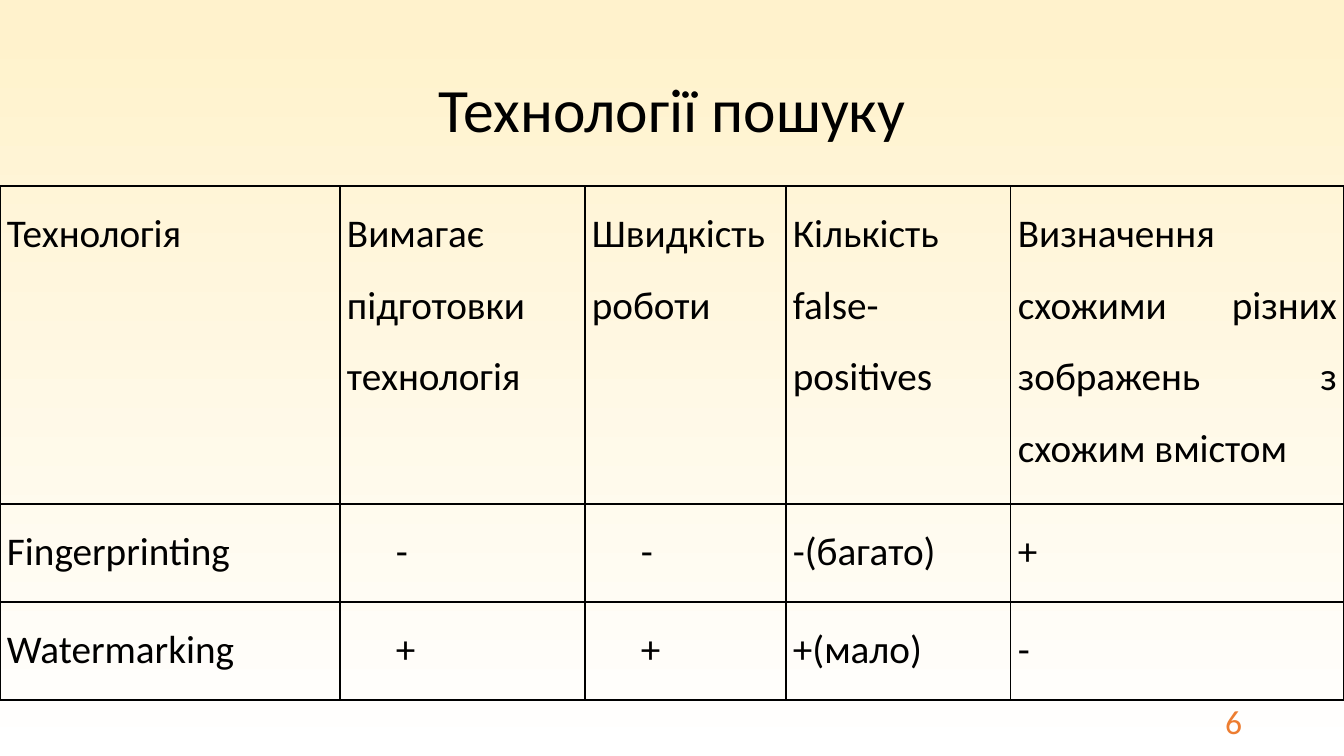
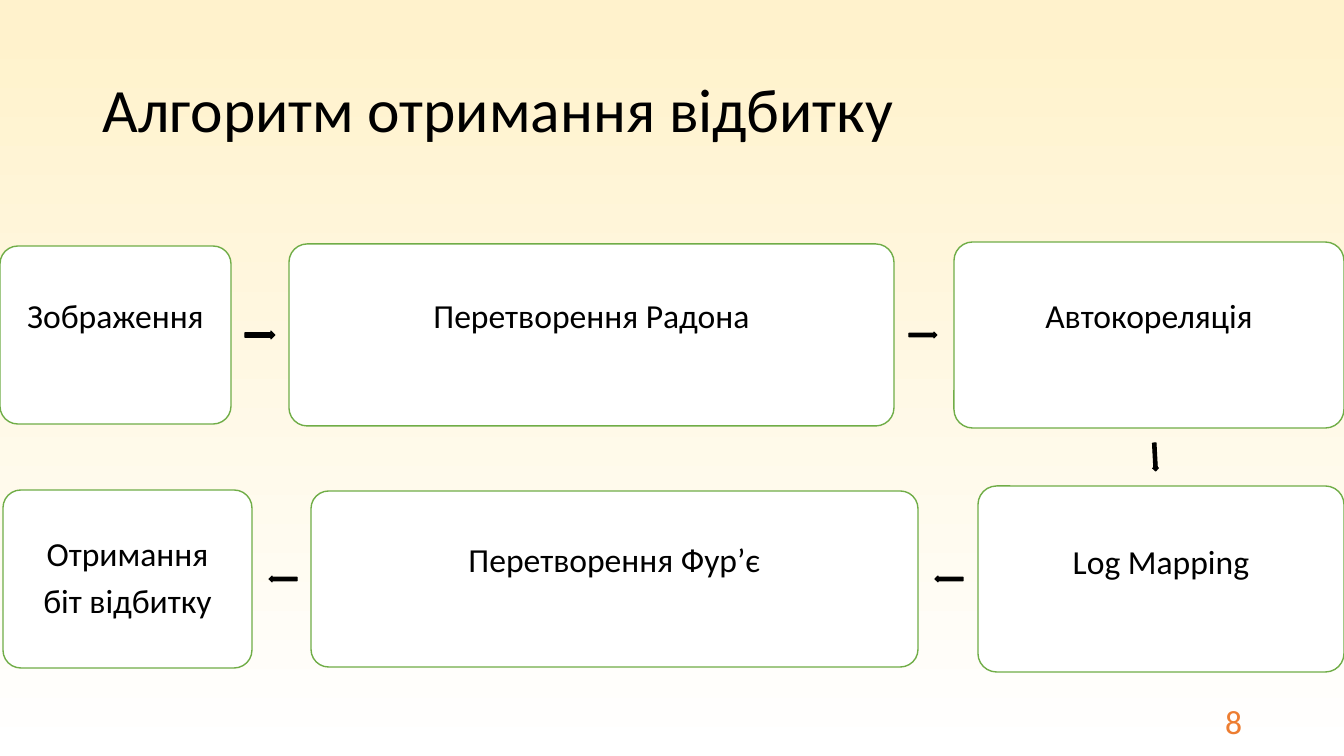
from pptx import Presentation
from pptx.dml.color import RGBColor
from pptx.enum.shapes import MSO_SHAPE
from pptx.enum.text import MSO_ANCHOR, PP_ALIGN
from pptx.oxml import parse_xml
from pptx.oxml.ns import nsdecls
from pptx.util import Emu, Pt

SLIDE_W, SLIDE_H = 1344, 756
SCALE = 12192000 / SLIDE_W
LEFT, CENTER, RIGHT = PP_ALIGN.LEFT, PP_ALIGN.CENTER, PP_ALIGN.RIGHT
JUSTIFY = PP_ALIGN.JUSTIFY
MIDDLE = MSO_ANCHOR.MIDDLE
ROUND_RECT, RIGHT_ARROW = MSO_SHAPE.ROUNDED_RECTANGLE, MSO_SHAPE.RIGHT_ARROW


def px(n):
    return Emu(round(n * SCALE))


def rgb(color):
    return RGBColor.from_string(color)


class Deck:
    FONT = "Calibri"
    INK, PAPER, CREAM = "000000", "FFFFFF", "FFF2CC"
    GREEN, ORANGE = "70AD47", "ED7D31"

    def __init__(self):
        self.prs = Presentation()
        self.prs.slide_width, self.prs.slide_height = px(SLIDE_W), px(SLIDE_H)
        fill = self.prs.slide_master.background.fill
        fill.gradient()
        fill.gradient_angle = 270
        stops = ((0.04, self.CREAM), (1, self.PAPER))
        for stop, (position, color) in zip(fill.gradient_stops, stops):
            stop.position = position
            stop.color.rgb = rgb(color)

    def slide(self, title, number, title_align=LEFT):
        self.s = self.prs.slides.add_slide(self.prs.slide_layouts[6])
        self.text(93, 40, 1159, 146, title, 44, self.INK, title_align, 0.9)
        self.text(950, 701, 302, 40, str(number), 24, self.ORANGE, RIGHT)

    def fill_text(self, tf, text, size, color, align, spacing=1, gap=0):
        """Fill a text frame; gap is the space in points between paragraphs."""
        tf.text = text
        tf.word_wrap = True
        for i, p in enumerate(tf.paragraphs):
            p.alignment = align
            p.line_spacing = spacing
            p.space_before = Pt(gap if i else 0)
            for r in p.runs:
                r.font.name = self.FONT
                r.font.size = Pt(size)
                r.font.color.rgb = rgb(color)

    def text(self, x, y, w, h, text, size, color, align, spacing=1):
        tf = self.s.shapes.add_textbox(px(x), px(y), px(w), px(h)).text_frame
        tf.vertical_anchor = MIDDLE
        self.fill_text(tf, text, size, color, align, spacing)

    def shape(self, kind, x, y, w, h, fill, line, line_width):
        sp = self.s.shapes.add_shape(kind, px(x), px(y), px(w), px(h))
        sp.shadow.inherit = False
        sp.fill.solid()
        sp.fill.fore_color.rgb = rgb(fill)
        sp.line.color.rgb = rgb(line)
        sp.line.width = Pt(line_width)
        return sp

    def step(self, x, cy, w, h, text, lift=0):
        """Box centred on cy, with its text raised by lift."""
        sp = self.shape(ROUND_RECT, x, cy - h / 2, w, h, self.PAPER, self.GREEN, 1)
        sp.adjustments[0] = 0.1
        tf = sp.text_frame
        tf.vertical_anchor = MIDDLE
        tf.margin_left = tf.margin_right = tf.margin_top = px(15)
        tf.margin_bottom = px(15 + 2 * lift)
        self.fill_text(tf, text, 24, self.INK, CENTER, 0.9, gap=8)

    def arrow(self, cx, cy, rotation=0, w=28, h=6):
        sp = self.shape(RIGHT_ARROW, cx - w / 2, cy - h / 2, w, h,
                        self.INK, self.INK, 0.75)
        sp.adjustments[0], sp.adjustments[1] = 0.6, 0.5
        sp.rotation = rotation

    def border(self, cell):
        tcPr = cell._tc.get_or_add_tcPr()
        for side in "LRTB":
            tcPr.append(parse_xml(
                f'<a:ln{side} {nsdecls("a")} w="12700"><a:solidFill>'
                f'<a:srgbClr val="{self.INK}"/></a:solidFill></a:ln{side}>'))

    def table(self, x, y, widths, heights, rows, justified, indented):
        """justified: header columns; indented: body columns."""
        table = self.s.shapes.add_table(
            len(rows), len(widths), px(x), px(y),
            px(sum(widths)), px(sum(heights))).table
        table.first_row = table.horz_banding = False
        for column, width in zip(table.columns, widths):
            column.width = px(width)
        for i, (height, values) in enumerate(zip(heights, rows)):
            table.rows[i].height = px(height)
            for j, value in enumerate(values):
                cell = table.cell(i, j)
                self.border(cell)
                cell.fill.background()
                cell.margin_left = cell.margin_right = px(7)
                cell.margin_top = cell.margin_bottom = 0
                align = JUSTIFY if i == 0 and j in justified else LEFT
                self.fill_text(cell.text_frame, value, 28, self.INK, align, 1.5)
                if i and j in indented:
                    pPr = cell.text_frame.paragraphs[0]._p.get_or_add_pPr()
                    pPr.set("marL", str(px(49)))


def main():
    deck = Deck()

    deck.slide("Технології пошуку", 6, CENTER)
    deck.table(0, 186, (340, 245, 201, 225, 333), (318, 98, 98), (
        ("Технологія", "Вимагає підготовки технологія", "Швидкість роботи",
         "Кількість false-positives",
         "Визначення схожими різних зображень з схожим вмістом"),
        ("Fingerprinting", "-", "-", "-(багато)", "+"),
        ("Watermarking", "+", "+", "+(мало)", "-"),
    ), justified=(3, 4), indented=(1, 2))

    deck.slide("Алгоритм отримання відбитку", 8)
    top, bottom = 335, 579
    for x, cy, w, h, text, lift in (
        (0, top, 231, 178, "Зображення", 17),
        (289, top, 605, 182, "Перетворення Радона", 17),
        (954, top, 390, 186, "Автокореляція", 17),
        (978, bottom, 366, 186, "Log Mapping", 15),
        (311, bottom, 607, 176, "Перетворення Фур’є", 17),
        (3, bottom, 249, 178, "Отримання\nбіт відбитку", 0),
    ):
        deck.step(x, cy, w, h, text, lift)
    deck.arrow(260, top, w=30, h=8)
    deck.arrow(923, top)
    deck.arrow(1155, (top + bottom) / 2, 87)
    deck.arrow(949, bottom, 180)
    deck.arrow(283, bottom, 180)

    deck.prs.save("out.pptx")


if __name__ == "__main__":
    main()
